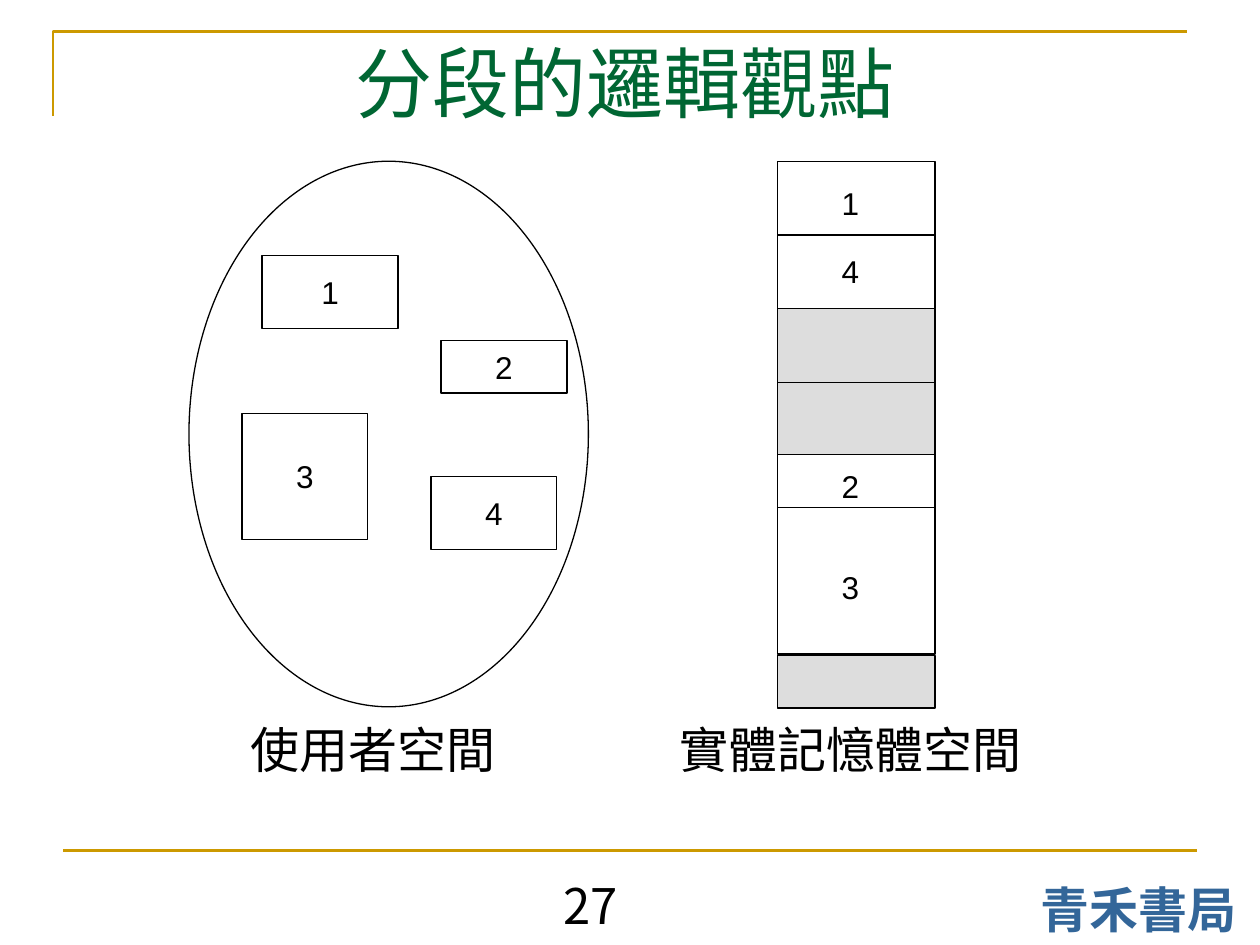
from dataclasses import dataclass

from lxml.etree import SubElement
from pptx import Presentation
from pptx.dml.color import RGBColor
from pptx.enum.shapes import MSO_CONNECTOR, MSO_SHAPE
from pptx.enum.text import MSO_ANCHOR, PP_ALIGN
from pptx.oxml.ns import qn
from pptx.util import Inches, Pt


@dataclass(frozen=True)
class Theme:
    black: str = "000000"
    white: str = "FFFFFF"
    used: str = "DDDDDD"
    gold: str = "CC9900"
    green: str = "006633"
    blue: str = "336699"
    title_size: int = 44
    caption_size: int = 28
    label_size: int = 18
    outline: float = 0.75
    rule: float = 1.5
    title_font: str = "Vollkorn"
    caption_font: str = "Noto Sans CJK SC"
    label_font: str = "Arial"


THEME = Theme()
TITLE = {"size": THEME.title_size, "name": THEME.title_font, "color": THEME.green}
CAPTION = {"size": THEME.caption_size, "name": THEME.caption_font, "color": THEME.black}
LABEL = {"size": THEME.label_size, "name": THEME.label_font, "color": THEME.black}
PUBLISHER = {**CAPTION, "color": THEME.blue, "bold": True}

FRAME_INSETS = (0.1, 0.05)
MEMORY_LEFT, MEMORY_WIDTH = 6.17, 1.25
SEGMENTS = [
    ("1", 2.08, 2.03, 1.08, 0.58),
    ("3", 1.92, 3.28, 1, 1),
    ("2", 3.5, 2.7, 1, 0.42),
    ("4", 3.42, 3.78, 1, 0.58),
]
# top, height, fill, whether a line halves the block
MEMORY_BLOCKS = [
    (1.28, 1.17, THEME.white, True),
    (2.45, 1.17, THEME.used, True),
    (3.61, 1.58, THEME.white, False),
    (5.2, 0.42, THEME.used, False),
]
MEMORY_LABELS = [("1", 1.41), ("4", 1.95), ("2", 3.66), ("3", 4.46)]


def set_line(line, color, width):
    line.color.rgb = RGBColor.from_string(color)
    line.width = Pt(width)


def write_text(shape, text, style, insets=(0, 0), anchor=MSO_ANCHOR.MIDDLE, wrap=False):
    frame = shape.text_frame
    across, down = (Inches(inset) for inset in insets)
    layout = {
        "margin_left": across, "margin_right": across,
        "margin_top": down, "margin_bottom": down,
        "vertical_anchor": anchor, "word_wrap": wrap,
    }
    for name, value in layout.items():
        setattr(frame, name, value)
    paragraph = frame.paragraphs[0]
    paragraph.alignment = PP_ALIGN.CENTER
    run = paragraph.add_run()
    run.text = text
    for name, value in style.items():
        if name == "color":
            run.font.color.rgb = RGBColor.from_string(value)
        else:
            setattr(run.font, name, Pt(value) if name == "size" else value)
    east_asian = SubElement(run.font._element, qn("a:ea"))
    east_asian.set("typeface", style["name"])


def add_text(slide, text, box, style, **layout):
    textbox = slide.shapes.add_textbox(*map(Inches, box))
    write_text(textbox, text, style, **layout)


def add_outlined(slide, preset, box, fill=THEME.white):
    outlined = slide.shapes.add_shape(preset, *map(Inches, box))
    outlined.shadow.inherit = False
    outlined.fill.solid()
    outlined.fill.fore_color.rgb = RGBColor.from_string(fill)
    set_line(outlined.line, THEME.black, THEME.outline)
    return outlined


def add_level_line(slide, left, right, y, color, width):
    level_line = slide.shapes.add_connector(
        MSO_CONNECTOR.STRAIGHT, Inches(left), Inches(y), Inches(right), Inches(y))
    set_line(level_line.line, color, width)
    SubElement(level_line._element.spPr, qn("a:effectLst"))
    return level_line


def add_page_frame(slide):
    builder = slide.shapes.build_freeform(Inches(0.42), Inches(0.92))
    builder.add_line_segments(
        [(Inches(0.42), Inches(0.25)), (Inches(9.42), Inches(0.25))], close=False)
    corner = builder.convert_to_shape()
    corner.shadow.inherit = False
    corner.fill.background()
    set_line(corner.line, THEME.gold, THEME.rule)
    add_level_line(slide, 0.5, 9.5, 6.75, THEME.gold, THEME.rule)
    footer = {"insets": FRAME_INSETS, "anchor": MSO_ANCHOR.TOP, "wrap": True}
    add_text(slide, "青禾書局", (8.07, 6.93, 1.93, 0.57), PUBLISHER, **footer)
    add_text(slide, "27", (3.98, 6.9, 1.42, 0.66), CAPTION, **footer)


def add_user_space(slide):
    add_outlined(slide, MSO_SHAPE.OVAL, (1.5, 1.28, 3.17, 4.33))
    for number, *box in SEGMENTS:
        segment = add_outlined(slide, MSO_SHAPE.RECTANGLE, box)
        write_text(segment, number, LABEL)
    add_text(slide, "使用者空間", (1.89, 5.66, 2.14, 0.57), CAPTION)


def add_physical_memory(slide):
    right = MEMORY_LEFT + MEMORY_WIDTH
    for top, height, fill, halved in MEMORY_BLOCKS:
        block = add_outlined(
            slide, MSO_SHAPE.RECTANGLE, (MEMORY_LEFT, top, MEMORY_WIDTH, height), fill)
        if halved:
            divider = add_level_line(
                slide, MEMORY_LEFT, right, top + height / 2, THEME.black, THEME.outline)
            divider.begin_connect(block, 1)
            divider.end_connect(block, 3)
    add_level_line(slide, MEMORY_LEFT, right, 4.03, THEME.black, THEME.outline)
    for number, top in MEMORY_LABELS:
        add_text(slide, number, (6.58, top, 0.34, 0.4), LABEL, insets=FRAME_INSETS)
    add_text(slide, "實體記憶體空間", (5.29, 5.66, 2.92, 0.57), CAPTION)


def main():
    presentation = Presentation()
    presentation.slide_width = Inches(10)
    presentation.slide_height = Inches(7.5)
    slide = presentation.slides.add_slide(presentation.slide_layouts[6])
    add_page_frame(slide)
    add_text(slide, "分段的邏輯觀點", (0.43, 0.28, 9.07, 0.65), TITLE,
             anchor=MSO_ANCHOR.TOP, wrap=True)
    add_user_space(slide)
    add_physical_memory(slide)
    presentation.save("out.pptx")


if __name__ == "__main__":
    main()
